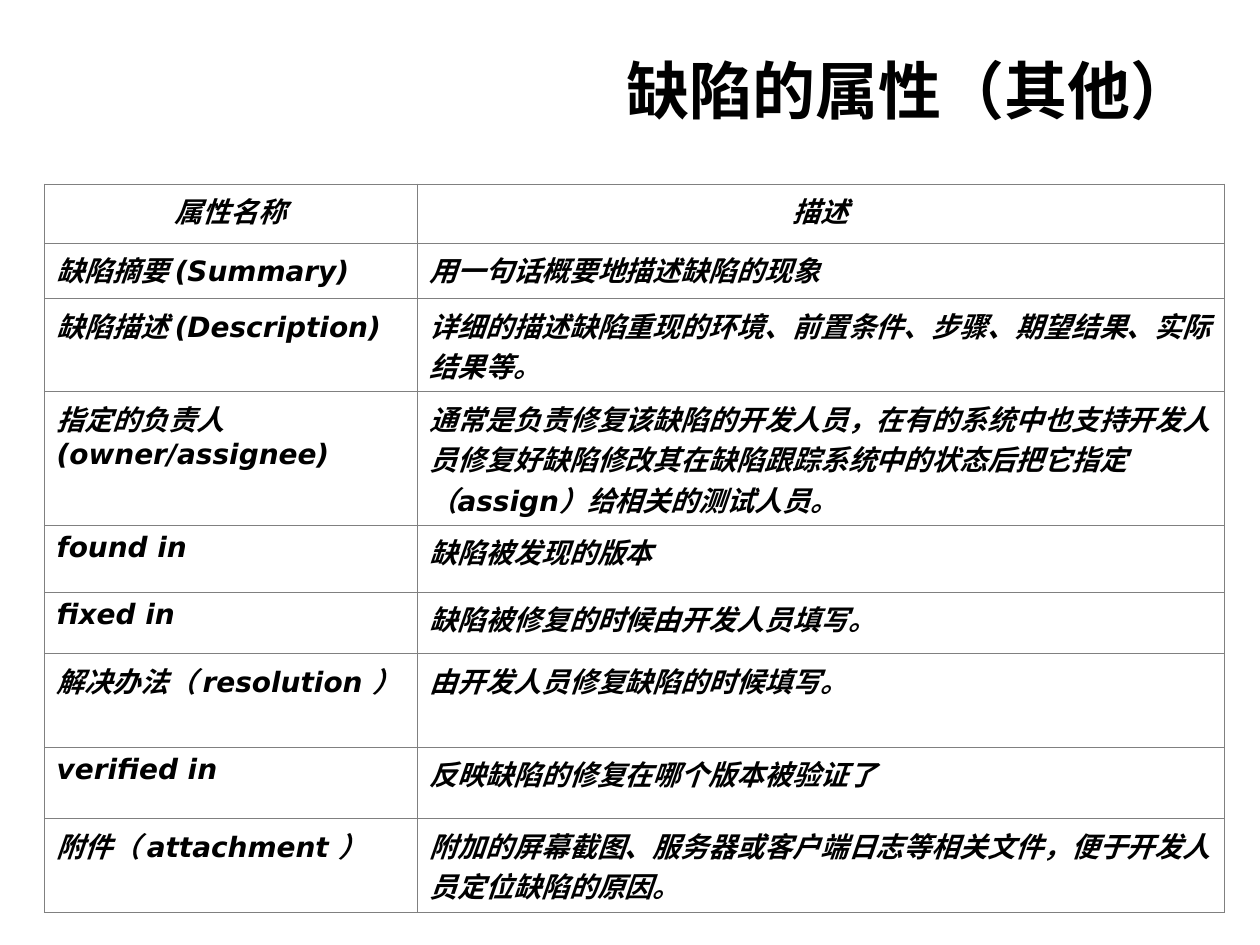
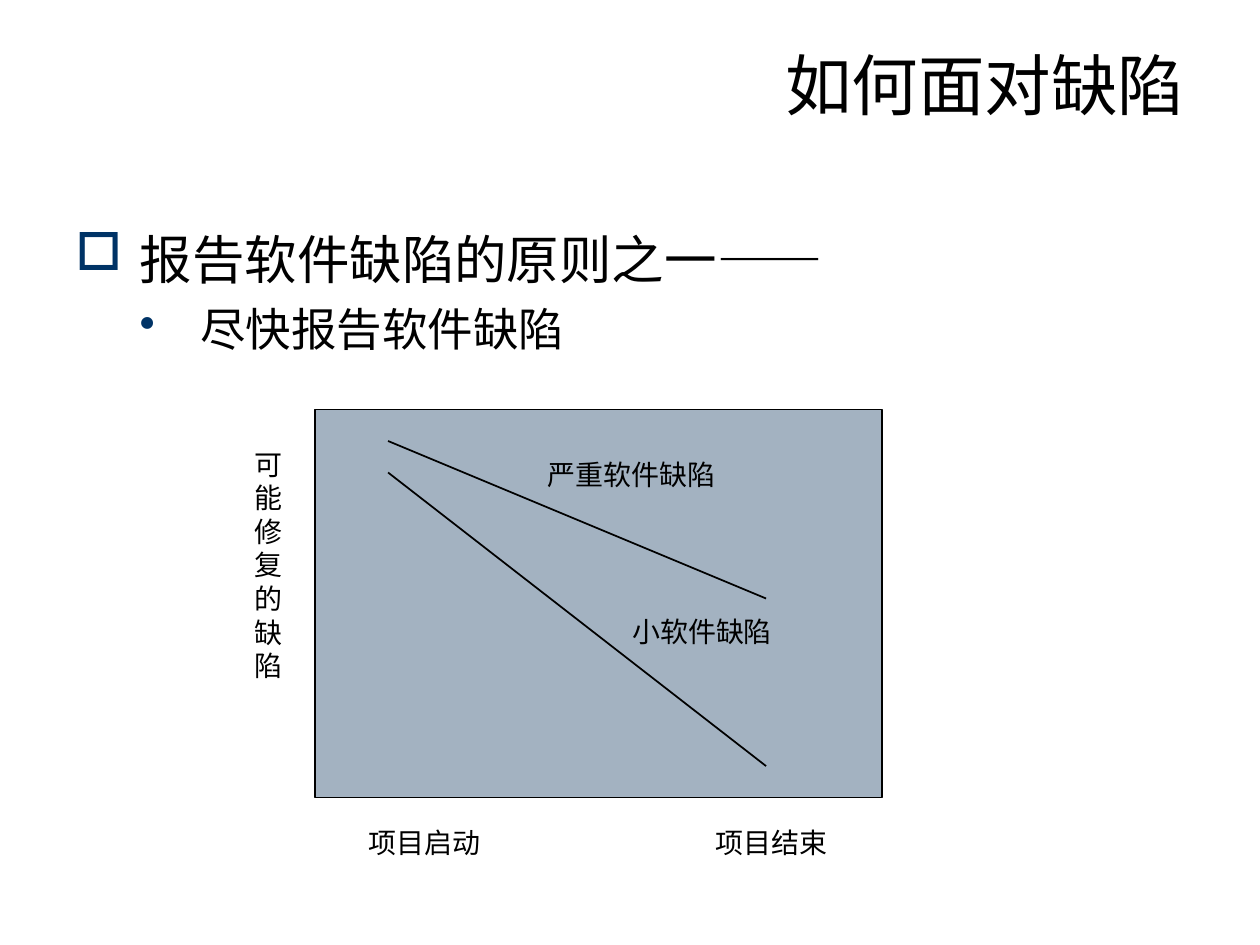
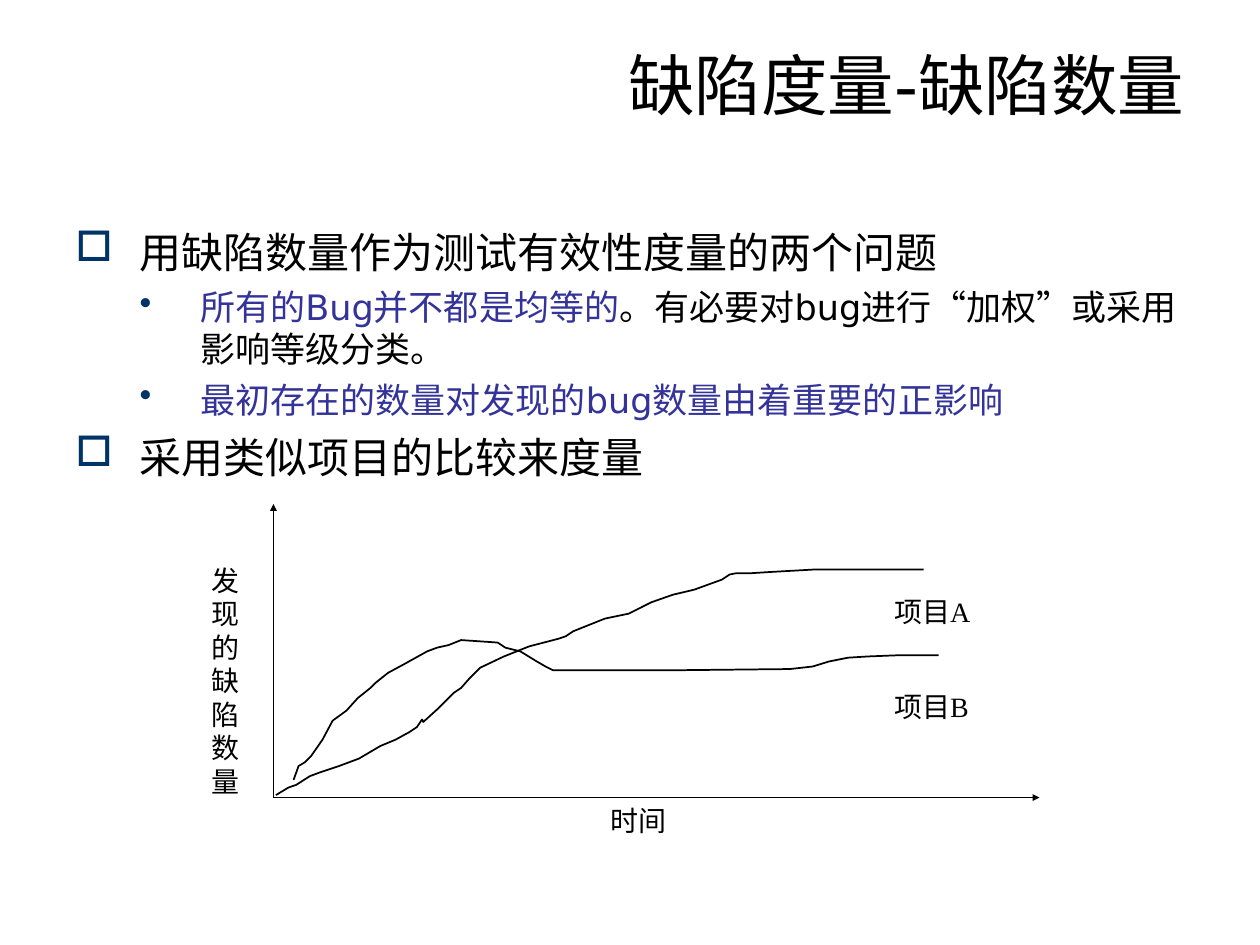
from lxml import etree
from pptx import Presentation
from pptx.dml.color import RGBColor
from pptx.enum.shapes import MSO_CONNECTOR, MSO_SHAPE
from pptx.enum.text import MSO_ANCHOR, PP_ALIGN
from pptx.oxml.ns import qn
from pptx.util import Inches, Pt

BLACK = RGBColor(0x00, 0x00, 0x00)
GREY = RGBColor(0x80, 0x80, 0x80)
NAVY = RGBColor(0x00, 0x33, 0x66)
INDIGO = RGBColor(0x33, 0x33, 0x99)
STEEL = RGBColor(0xA3, 0xB2, 0xC1)
STRAIGHT = MSO_CONNECTOR.STRAIGHT
RECTANGLE = MSO_SHAPE.RECTANGLE
TOP = MSO_ANCHOR.TOP
LEFT, CENTER, RIGHT = PP_ALIGN.LEFT, PP_ALIGN.CENTER, PP_ALIGN.RIGHT
SANS, SERIF, DASH_FONT = "DejaVu Sans", "Times New Roman", "Arial"
BULLET_FONT = "OpenSymbol"
BULLETS = [("□", 0.51, 0.51), ("•", 0.99, 0.48)]

ATTRIBUTES = [
    ("属性名称", "描述"),
    ("缺陷摘要 (Summary)", "用一句话概要地描述缺陷的现象"),
    ("缺陷描述 (Description)", "详细的描述缺陷重现的环境、前置条件、步骤、期望结果、实际结果等。"),
    ("指定的负责人 (owner/assignee)",
     "通常是负责修复该缺陷的开发人员，在有的系统中也支持开发人员修复好缺陷修改其在缺陷跟踪系统中的状态后把它指定（assign）给相关的测试人员。"),
    ("found in", "缺陷被发现的版本"),
    ("fixed in", "缺陷被修复的时候由开发人员填写。"),
    ("解决办法（ resolution ）", "由开发人员修复缺陷的时候填写。"),
    ("verified in", "反映缺陷的修复在哪个版本被验证了"),
    ("附件（ attachment ）", "附加的屏幕截图、服务器或客户端日志等相关文件，便于开发人员定位缺陷的原因。"),
]
COLUMN_WIDTHS = [2.96, 6.41]
ROW_HEIGHTS = [0.47, 0.44, 0.74, 1.06, 0.53, 0.49, 0.74, 0.57, 0.74]

PROJECT_A = [
    (2.19, 6.31), (2.29, 6.25), (2.35, 6.23), (2.46, 6.16), (2.54, 6.13), (2.69, 6.08),
    (2.85, 6.02), (3.02, 5.92), (3.14, 5.87), (3.25, 5.81), (3.31, 5.77), (3.35, 5.71),
    (3.36, 5.73), (3.47, 5.63), (3.6, 5.5), (3.66, 5.46), (3.73, 5.38), (3.81, 5.3),
    (4.0, 5.21), (4.2, 5.13), (4.43, 5.07), (4.49, 5.05), (4.55, 5.01), (4.8, 4.91),
    (4.99, 4.87), (5.17, 4.78), (5.34, 4.72), (5.51, 4.68), (5.73, 4.6), (5.79, 4.56),
    (5.84, 4.55), (5.95, 4.55), (6.11, 4.54), (6.46, 4.52), (7.33, 4.52),
]
PROJECT_B = [
    (2.33, 6.19), (2.37, 6.08), (2.42, 6.05), (2.47, 6.0), (2.56, 5.87), (2.64, 5.72),
    (2.75, 5.64), (2.84, 5.54), (2.94, 5.46), (2.98, 5.42), (3.08, 5.34), (3.21, 5.27),
    (3.39, 5.17), (3.47, 5.14), (3.56, 5.12), (3.66, 5.08), (3.95, 5.1), (4.01, 5.14),
    (4.13, 5.17), (4.26, 5.25), (4.33, 5.29), (4.39, 5.32), (5.33, 5.32), (6.27, 5.31),
    (6.45, 5.29), (6.58, 5.25), (6.73, 5.22), (6.89, 5.21), (7.15, 5.2), (7.45, 5.2),
]


class Deck:
    """Presentation style together with the slide being filled."""

    def __init__(self):
        self.prs = Presentation()
        self.prs.slide_width, self.prs.slide_height = Inches(10), Inches(7.5)
        self.s = None

    def new_slide(self):
        self.s = self.prs.slides.add_slide(self.prs.slide_layouts[6])

    def run(self, p, text, size, font=SANS, color=BLACK, bold=False, italic=False):
        r = p.add_run()
        r.text = text
        r.font.name, r.font.size = font, Pt(size)
        r.font.bold, r.font.italic = bold, italic
        r.font.color.rgb = color

    def frame(self, x, y, w, h):
        tf = self.s.shapes.add_textbox(Inches(x), Inches(y), Inches(w), Inches(h)).text_frame
        tf.word_wrap = True
        tf.vertical_anchor = TOP
        return tf

    def title(self, text, box=(0.5, 0.3, 9, 1.25), size=38, bold=False):
        p = self.frame(*box).paragraphs[0]
        p.alignment = RIGHT
        self.run(p, text, size, bold=bold)

    def label(self, text, x, y, w, h=0.37):
        self.run(self.frame(x, y, w, h).paragraphs[0], text, 16, SERIF)

    def bullets(self, items, sizes):
        tf = self.frame(0.5, 1.75, 9, 4.95)
        for i, (level, runs) in enumerate(items):
            p = tf.add_paragraph() if i else tf.paragraphs[0]
            char, margin, hang = BULLETS[level]
            p.level = level
            pPr = p._p.get_or_add_pPr()
            pPr.set("marL", str(Inches(margin)))
            pPr.set("indent", str(-Inches(hang)))
            clr = etree.SubElement(pPr, qn("a:buClr"))
            etree.SubElement(clr, qn("a:srgbClr"), val=str(NAVY))
            etree.SubElement(pPr, qn("a:buFont"), typeface=BULLET_FONT)
            etree.SubElement(pPr, qn("a:buChar"), char=char)
            if i:
                p.space_before = Pt(sizes[level] / 4)
            for text, font, color in runs:
                self.run(p, text, sizes[level], font, color)

    def outline(self, sp):
        sp.line.color.rgb = BLACK
        sp.line.width = Pt(1)

    def rect(self, x, y, w, h):
        sp = self.s.shapes.add_shape(RECTANGLE, Inches(x), Inches(y), Inches(w), Inches(h))
        sp.shadow.inherit = False
        sp.fill.solid()
        sp.fill.fore_color.rgb = STEEL
        self.outline(sp)

    def line(self, start, end, arrow=False):
        sp = self.s.shapes.add_connector(STRAIGHT, *map(Inches, start + end))
        self.outline(sp)
        if arrow:
            ln = sp.line._get_or_add_ln()
            etree.SubElement(ln, qn("a:tailEnd"), type="triangle", w="sm", len="sm")
        etree.SubElement(sp._element.spPr, qn("a:effectLst"))

    def curve(self, points):
        (x, y), *rest = points
        builder = self.s.shapes.build_freeform(Inches(x), Inches(y))
        builder.add_line_segments([(Inches(a), Inches(b)) for a, b in rest], close=False)
        sp = builder.convert_to_shape()
        sp.shadow.inherit = False
        sp.fill.background()
        self.outline(sp)

    def table(self, rows, x, y, widths, heights):
        tbl = self.s.shapes.add_table(
            len(rows), len(widths), Inches(x), Inches(y),
            Inches(sum(widths)), Inches(sum(heights))).table
        for column, w in zip(tbl.columns, widths):
            column.width = Inches(w)
        for i, (row, h) in enumerate(zip(rows, heights)):
            tbl.rows[i].height = Inches(h)
            for j, text in enumerate(row):
                cell = tbl.cell(i, j)
                self.borders(cell)
                cell.fill.background()
                p = cell.text_frame.paragraphs[0]
                p.alignment = LEFT if i else CENTER
                self.run(p, text, 16, bold=True, italic=True)

    def borders(self, cell):
        tcPr = cell._tc.get_or_add_tcPr()
        for side in ("lnL", "lnR", "lnT", "lnB"):
            ln = etree.SubElement(tcPr, qn(f"a:{side}"), w=str(Pt(0.45)))
            fill = etree.SubElement(ln, qn("a:solidFill"))
            etree.SubElement(fill, qn("a:srgbClr"), val=str(GREY))


def attributes_slide(deck):
    deck.new_slide()
    deck.title("缺陷的属性（其他）", (0.57, 0.36, 9, 0.87), 36, True)
    deck.table(ATTRIBUTES, 0.35, 1.46, COLUMN_WIDTHS, ROW_HEIGHTS)


def reporting_slide(deck):
    deck.new_slide()
    deck.title("如何面对缺陷")
    deck.bullets([
        (0, [("报告软件缺陷的原则之一", SANS, BLACK), ("——", DASH_FONT, BLACK)]),
        (1, [("尽快报告软件缺陷", SANS, BLACK)]),
    ], (30, 26))
    deck.rect(2.5, 3.25, 4.5, 3.08)
    deck.line((3.08, 3.75), (6.08, 6.08))
    deck.line((3.08, 3.5), (6.08, 4.75))
    deck.label("严重软件缺陷", 4.25, 3.58, 1.83)
    deck.label("小软件缺陷", 4.92, 4.83, 1.75)
    deck.label("项目启动", 2.83, 6.5, 1.25)
    deck.label("项目结束", 5.58, 6.5, 1.25)
    deck.label("可能修复的缺陷", 1.92, 3.5, 0.42, 1.97)


def metrics_slide(deck):
    deck.new_slide()
    deck.title("缺陷度量-缺陷数量")
    deck.bullets([
        (0, [("用缺陷数量作为测试有效性度量的两个问题", SANS, BLACK)]),
        (1, [("所有的Bug并不都是均等的", SANS, INDIGO),
             ("。有必要对bug进行“加权”或采用影响等级分类。", SANS, BLACK)]),
        (1, [("最初存在的数量对发现的bug数量由着重要的正影响", SANS, INDIGO)]),
        (0, [("采用类似项目的比较来度量", SANS, BLACK)]),
    ], (24, 20))
    origin = (2.17, 6.33)
    deck.line(origin, (8.25, 6.33), arrow=True)
    deck.line(origin, (2.17, 4), arrow=True)
    deck.label("发现的缺陷数量", 1.58, 4.42, 0.42, 1.97)
    deck.label("时间", 4.75, 6.33, 1.5)
    deck.curve(PROJECT_A)
    deck.label("项目A", 7, 4.67, 1)
    deck.curve(PROJECT_B)
    deck.label("项目B", 7, 5.42, 0.83, 0.64)


def main():
    deck = Deck()
    attributes_slide(deck)
    reporting_slide(deck)
    metrics_slide(deck)
    deck.prs.save("out.pptx")


if __name__ == "__main__":
    main()
